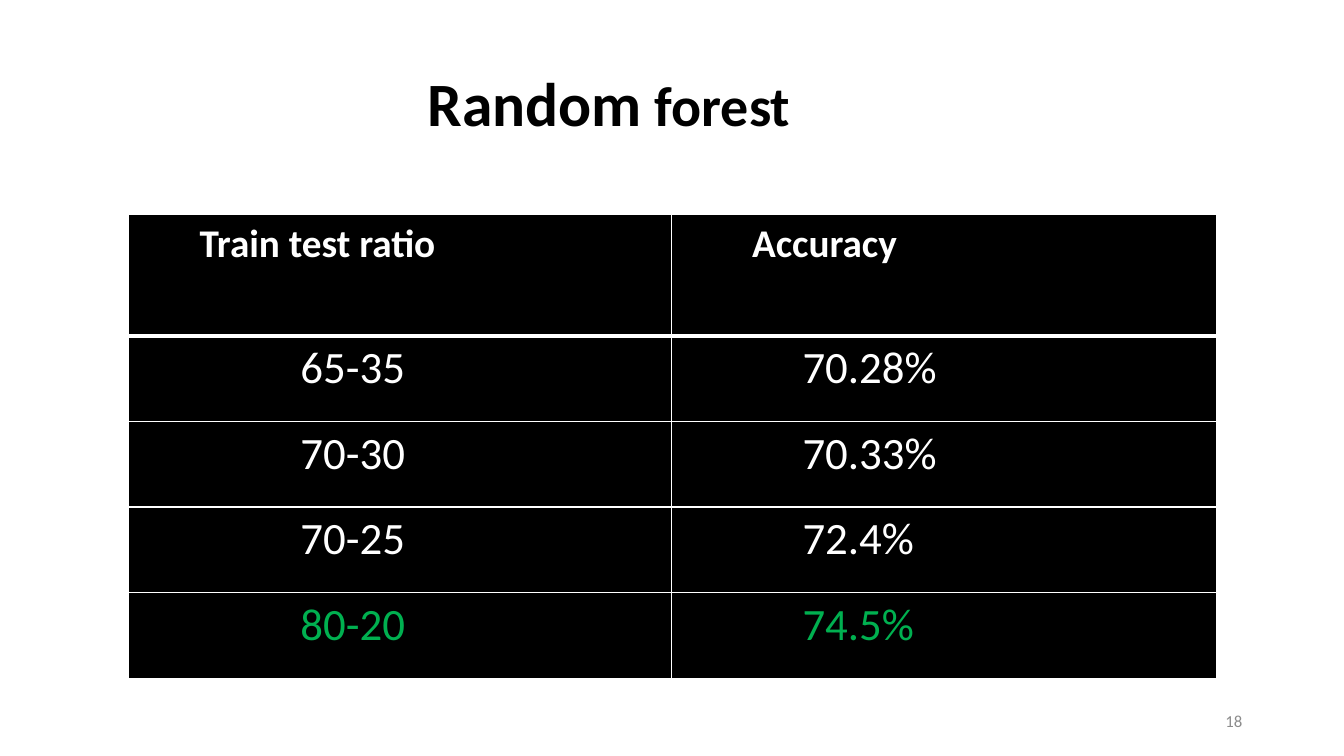
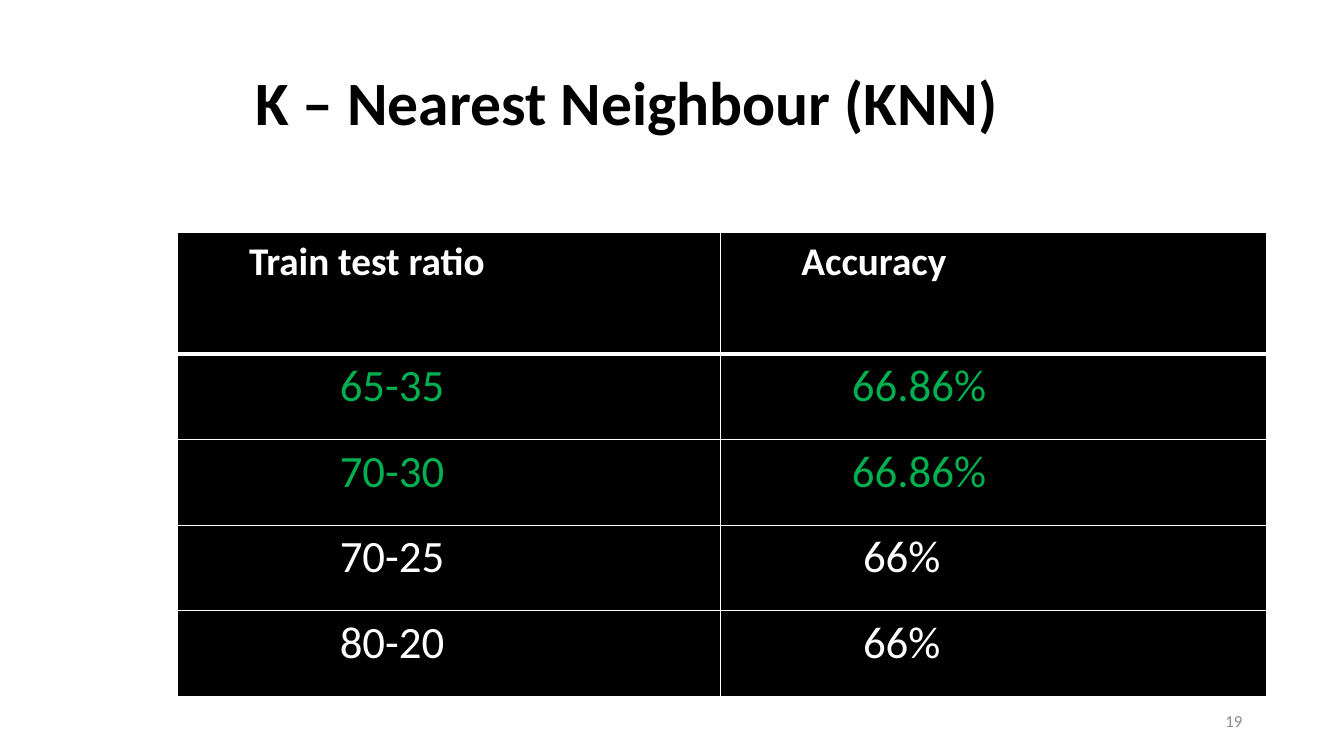
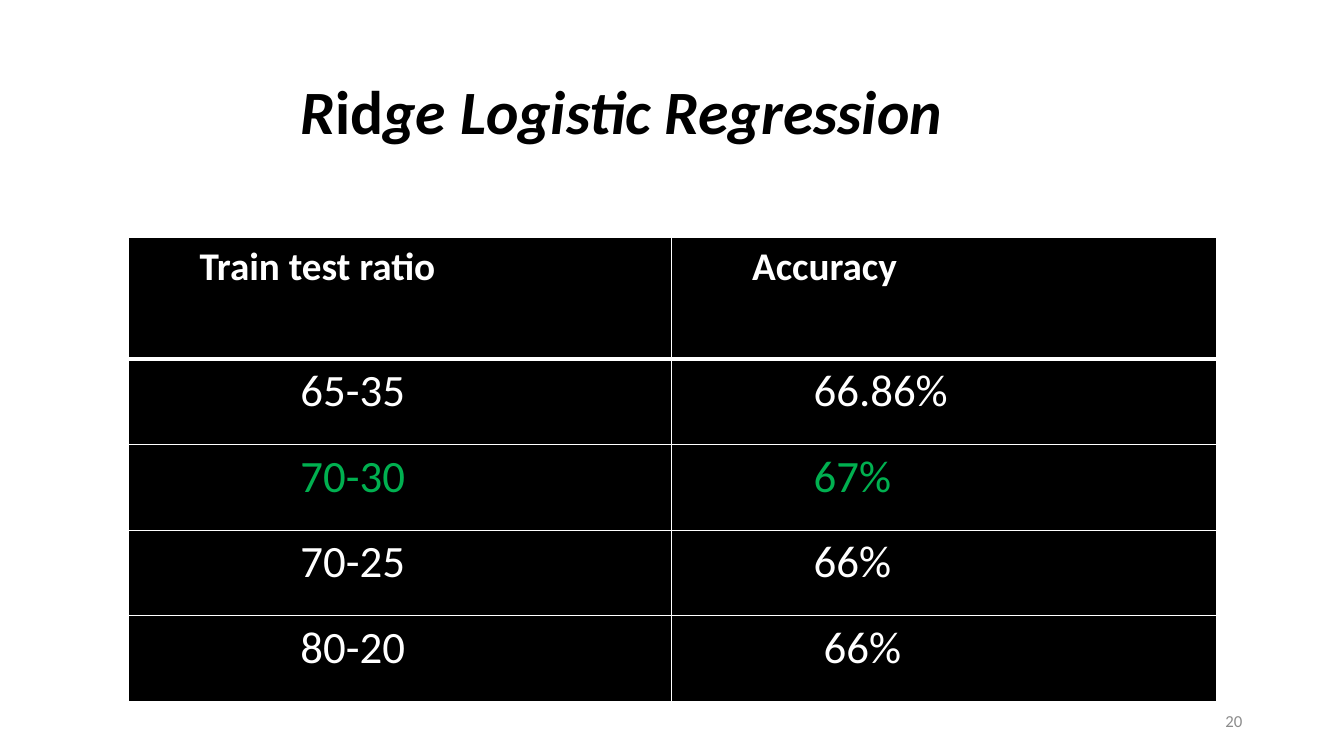
from lxml import etree
from pptx import Presentation
from pptx.dml.color import RGBColor
from pptx.enum.text import MSO_ANCHOR, MSO_AUTO_SIZE, PP_ALIGN
from pptx.oxml.ns import qn
from pptx.util import Inches, Pt

TOP, MIDDLE = MSO_ANCHOR.TOP, MSO_ANCHOR.MIDDLE
LEFT, RIGHT = PP_ALIGN.LEFT, PP_ALIGN.RIGHT
FIXED = MSO_AUTO_SIZE.NONE

FONT = "Calibri"
HEX = {"ink": "000000", "paper": "FFFFFF", "best": "00B050", "page": "8C8C8C"}

# Content: title runs are (text, size, italic);
# rows are (ratio, accuracy, accuracy indent, is best)
HEAD = ("Train test ratio", "Accuracy")
HEAD_IN = (0.61, 0.7)
FIRST = 18
SLIDES = [
    {"title": [("Random", 44, False), (" forest", 40, False)],
     "box": (4.14, 0.59, 5.42), "table": (1.27, 2.13), "indent": 1.61,
     "rows": [("65-35", "70.28%", 1.2, False),
              ("70-30", "70.33%", 1.2, False),
              ("70-25", "72.4%", 1.2, False),
              ("80-20", "74.5%", 1.2, True)]},
    {"title": [("K – Nearest Neighbour (KNN)", 44, False)],
     "box": (2.43, 0.58, 8.96), "table": (1.76, 2.31), "indent": 1.51,
     "rows": [("65-35", "66.86%", 1.2, True),
              ("70-30", "66.86%", 1.2, True),
              ("70-25", "66%", 1.31, False),
              ("80-20", "66%", 1.31, False)]},
    {"title": [("R", 44, True), ("id", 44, False),
               ("ge Logistic Regression", 44, True)],
     "box": (2.88, 0.67, 7.87), "table": (1.27, 2.36), "indent": 1.61,
     "rows": [("65-35", "66.86%", 1.31, False),
              ("70-30", "67%", 1.31, True),
              ("70-25", "66%", 1.31, False),
              ("80-20", "66%", 1.41, False)]},
]

# Shared measures in inches
TITLE_H = 1.14
COLS = (5.39, 5.41)
HEAD_H, ROW_H = 1.2, 0.85
PAD = 0.1
PAGE = (9.42, 6.95, 3, 0.4)


def add_run(para, text, size, color, bold=False, italic=False):
    run = para.add_run()
    run.text = text
    font = run.font
    font.name, font.size = FONT, Pt(size)
    font.bold, font.italic = bold, italic
    font.color.rgb = RGBColor.from_string(HEX[color])


def add_title(slide, runs, box):
    title = slide.shapes.title
    left, top, width = box
    title.left, title.top = Inches(left), Inches(top)
    title.width, title.height = Inches(width), Inches(TITLE_H)
    frame = title.text_frame
    frame.word_wrap, frame.auto_size = True, FIXED
    frame.vertical_anchor = TOP
    para = frame.paragraphs[0]
    para.alignment = LEFT
    for text, size, italic in runs:
        add_run(para, text, size, "ink", True, italic)


def set_edges(cell, top, bottom):
    props = cell._tc.get_or_add_tcPr()
    edges = (("L", 1), ("R", 1), ("T", top), ("B", bottom))
    for spot, (side, width) in enumerate(edges):
        line = etree.Element(qn("a:ln" + side), w=str(Pt(width)))
        fill = etree.SubElement(line, qn("a:solidFill"))
        etree.SubElement(fill, qn("a:srgbClr"), val=HEX["paper"])
        props.insert(spot, line)


def fill_cell(cell, text, indent, size, color, bold):
    cell.fill.solid()
    cell.fill.fore_color.rgb = RGBColor.from_string(HEX["ink"])
    cell.margin_left = Inches(PAD + indent)
    cell.vertical_anchor = TOP
    add_run(cell.text_frame.paragraphs[0], text, size, color, bold)


def add_grid(slide, spot, indent, rows):
    count = len(rows) + 1
    size = (sum(COLS), HEAD_H + ROW_H * len(rows))
    grid = slide.shapes.add_table(
        count, len(COLS), *map(Inches, spot + size)).table
    grid.horz_banding = False
    for col, width in zip(grid.columns, COLS):
        col.width = Inches(width)
    for num, row in enumerate(grid.rows):
        row.height = Inches(ROW_H if num else HEAD_H)

    # Header row, then one line per split
    lines = [(HEAD, HEAD_IN, 28, "paper", True)]
    for ratio, score, shift, best in rows:
        color = "best" if best else "paper"
        lines.append(((ratio, score), (indent, shift), 32, color, False))
    for num, (texts, shifts, points, color, bold) in enumerate(lines):
        for col, (text, shift) in enumerate(zip(texts, shifts)):
            cell = grid.cell(num, col)
            fill_cell(cell, text, shift, points, color, bold)
            set_edges(cell, 3 if num == 1 else 1, 3 if num == 0 else 1)


def add_page(slide, num):
    frame = slide.shapes.add_textbox(*map(Inches, PAGE)).text_frame
    frame.word_wrap = True
    frame.vertical_anchor = MIDDLE
    para = frame.paragraphs[0]
    para.alignment = RIGHT
    add_run(para, str(num), 12, "page")


def main():
    deck = Presentation()
    deck.slide_width, deck.slide_height = Inches(13.33), Inches(7.5)
    layout = deck.slide_layouts.get_by_name("Title Only")
    for num, data in enumerate(SLIDES, FIRST):
        slide = deck.slides.add_slide(layout)
        add_title(slide, data["title"], data["box"])
        add_grid(slide, data["table"], data["indent"], data["rows"])
        add_page(slide, num)
    deck.save("out.pptx")


if __name__ == "__main__":
    main()
